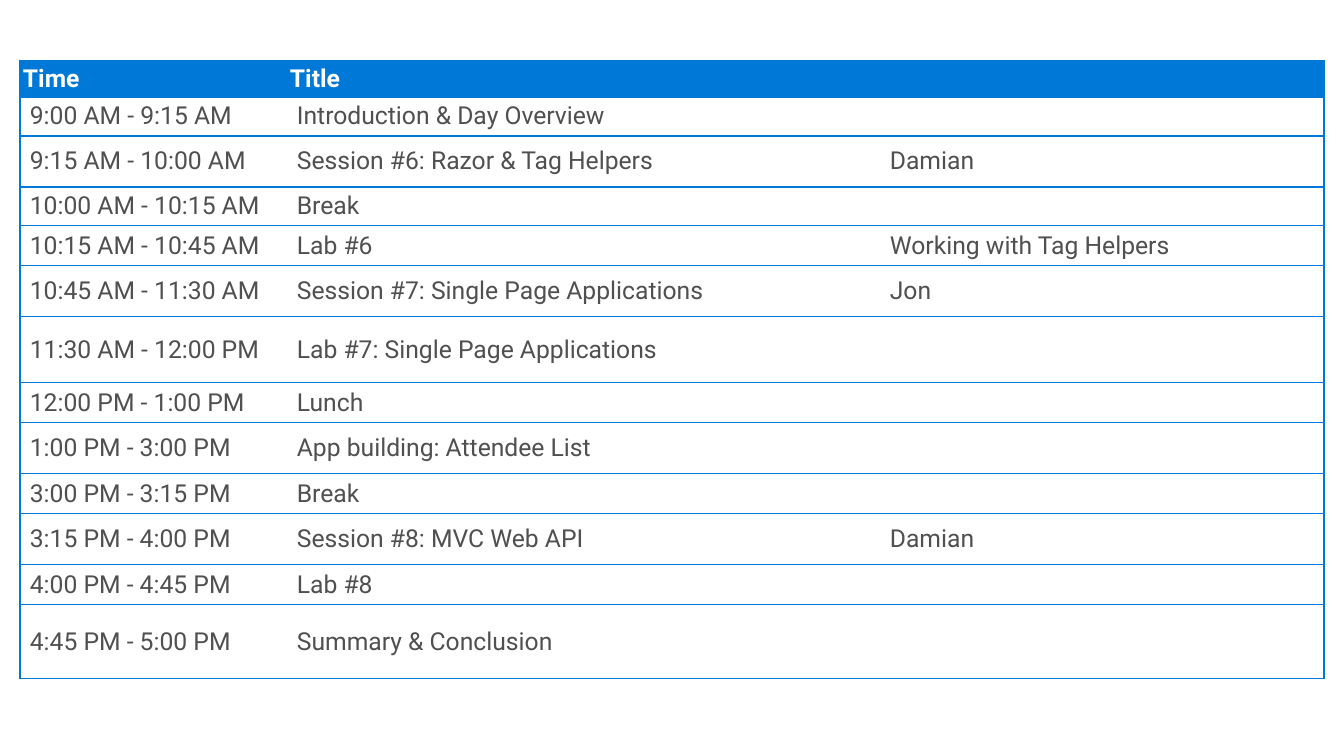
from lxml import etree
from pptx import Presentation
from pptx.dml.color import RGBColor
from pptx.enum.text import MSO_ANCHOR
from pptx.oxml.ns import qn
from pptx.util import Pt

EMU_PER_PX = 9255
MIDDLE = MSO_ANCHOR.MIDDLE
FONT = "Roboto"
COLORS = {"blue": "0078D7", "white": "FFFFFF", "text": "505050"}

COLUMN_WIDTHS = [267, 593, 444]
HEADER = (36, "Time", "Title", "")
AGENDA = [
    (39, "9:00 AM - 9:15 AM", "Introduction & Day Overview", ""),
    (51, "9:15 AM - 10:00 AM", "Session #6: Razor & Tag Helpers", "Damian"),
    (39, "10:00 AM - 10:15 AM", "Break", ""),
    (40, "10:15 AM - 10:45 AM", "Lab #6", "Working with Tag Helpers"),
    (51, "10:45 AM - 11:30 AM", "Session #7: Single Page Applications", "Jon"),
    (66, "11:30 AM - 12:00 PM", "Lab #7: Single Page Applications", ""),
    (40, "12:00 PM - 1:00 PM", "Lunch", ""),
    (51, "1:00 PM - 3:00 PM", "App building: Attendee List", ""),
    (40, "3:00 PM - 3:15 PM", "Break", ""),
    (51, "3:15 PM - 4:00 PM", "Session #8: MVC Web API", "Damian"),
    (40, "4:00 PM - 4:45 PM", "Lab #8", ""),
    (74, "4:45 PM - 5:00 PM", "Summary & Conclusion", ""),
]


def px(n):
    return n * EMU_PER_PX


def rgb(name):
    return RGBColor.from_string(COLORS[name])


def set_borders(cell, sides):
    """Draw blue lines on the named sides (L, R, T, B) and hide the others."""
    tc_pr = cell._tc.get_or_add_tcPr()
    for side in "LRTB":
        ln = etree.SubElement(tc_pr, qn(f"a:ln{side}"), w=str(Pt(1)))
        if side in sides:
            fill = etree.SubElement(ln, qn("a:solidFill"))
            etree.SubElement(fill, qn("a:srgbClr"), val=COLORS["blue"])
        else:
            etree.SubElement(ln, qn("a:noFill"))


def fill_cell(cell, text, sides, is_header):
    set_borders(cell, sides)
    cell.fill.solid()
    cell.fill.fore_color.rgb = rgb("blue" if is_header else "white")
    cell.vertical_anchor = MIDDLE
    if is_header:
        cell.margin_left = cell.margin_right = px(3)
        cell.margin_top = cell.margin_bottom = px(1)
    p = cell.text_frame.paragraphs[0]
    p.text = text
    p.font.name = FONT
    p.font.size = Pt(18)
    p.font.bold = is_header
    p.font.color.rgb = rgb("white" if is_header else "text")


def add_agenda(s, left, top):
    rows = [HEADER] + AGENDA
    height = sum(row[0] for row in rows)
    frame = s.shapes.add_table(len(rows), len(COLUMN_WIDTHS), px(left), px(top),
                               px(sum(COLUMN_WIDTHS)), px(height))
    table = frame.table
    table.first_row = False
    table.horz_banding = False
    for column, width in zip(table.columns, COLUMN_WIDTHS):
        column.width = px(width)
    for i, (row_height, *texts) in enumerate(rows):
        table.rows[i].height = px(row_height)
        for j, (text, sides) in enumerate(zip(texts, ("LTB", "TB", "RTB"))):
            fill_cell(table.cell(i, j), text, sides, i == 0)


def main():
    prs = Presentation()
    prs.slide_width, prs.slide_height = px(1344), px(756)
    s = prs.slides.add_slide(prs.slide_layouts[6])
    add_agenda(s, 20, 61)
    prs.save("out.pptx")


if __name__ == "__main__":
    main()
